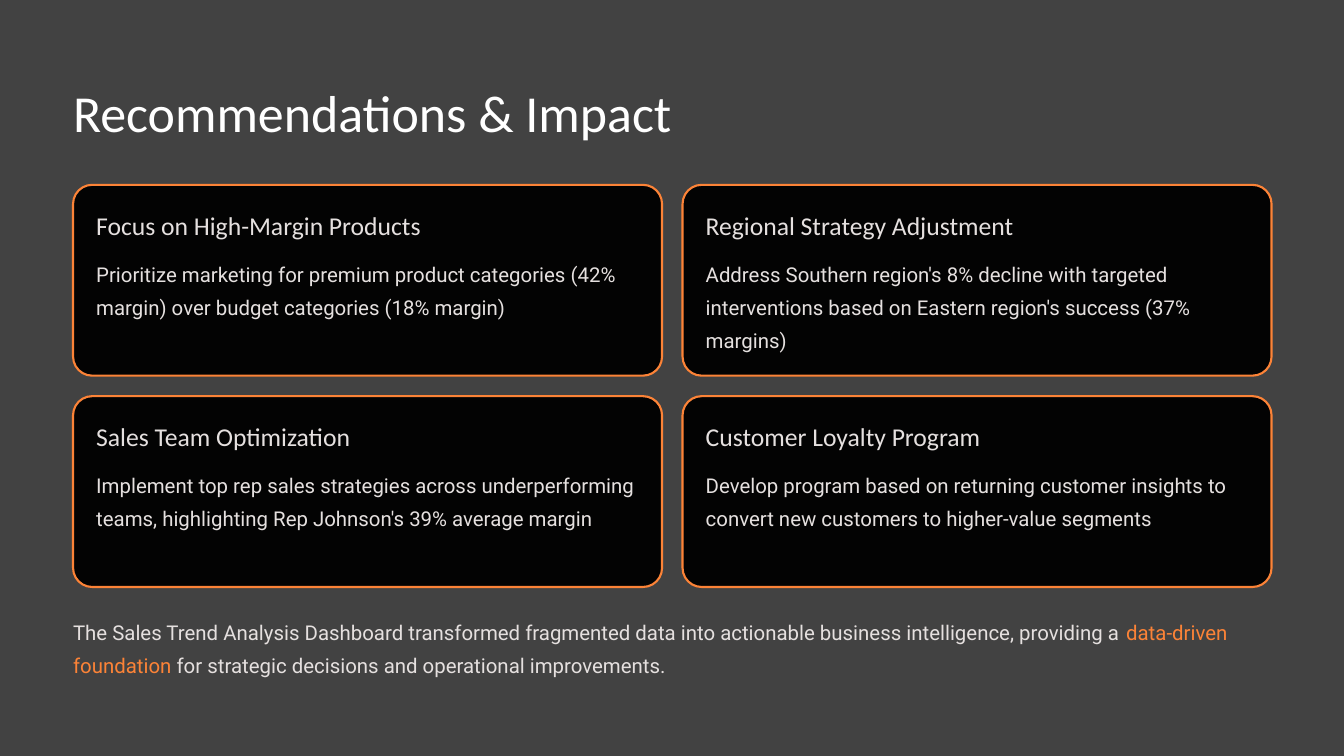
from dataclasses import dataclass

from pptx import Presentation
from pptx.dml.color import RGBColor
from pptx.enum.shapes import MSO_SHAPE
from pptx.enum.text import MSO_ANCHOR, MSO_AUTO_SIZE, PP_ALIGN
from pptx.util import Cm, Pt

TITLE = "Recommendations & Impact"
CARDS = [
    ("Focus on High-Margin Products",
     "Prioritize marketing for premium product categories (42% margin) "
     "over budget categories (18% margin)"),
    ("Regional Strategy Adjustment",
     "Address Southern region's 8% decline with targeted interventions "
     "based on Eastern region's success (37% margins)"),
    ("Sales Team Optimization",
     "Implement top rep sales strategies across underperforming teams, "
     "highlighting Rep Johnson's 39% average margin"),
    ("Customer Loyalty Program",
     "Develop program based on returning customer insights to convert "
     "new customers to higher-value segments"),
]
SUMMARY = [
    ("The Sales Trend Analysis Dashboard transformed fragmented data into "
     "actionable business intelligence, providing a ", "text"),
    ("data-driven foundation", "accent"),
    (" for strategic decisions and operational improvements.", "text"),
]


@dataclass(frozen=True)
class Theme:
    back: str = "424242"
    card: str = "030303"
    accent: str = "FC8337"
    title: str = "FFFFFF"
    text: str = "E5E0DF"
    title_type: tuple = ("Calibri", 44.5, 55.5)
    head_type: tuple = ("Calibri", 22, 27.5)
    body_type: tuple = ("Roboto", 17.5, 28.5)


THEME = Theme()
LEFT, TOP = 2.21, 5.59
CARD_W, CARD_H, GAP, PAD = 17.81, 5.77, 0.62, 0.7
FULL_W = 2 * CARD_W + GAP


def rgb(name):
    return RGBColor.from_string(getattr(THEME, name))


def place(shape, left, top, width, height):
    shape.left, shape.top = Cm(left), Cm(top)
    shape.width, shape.height = Cm(width), Cm(height)


def write(shape, runs, kind):
    name, size, leading = kind
    tf = shape.text_frame
    frame = dict(word_wrap=True, auto_size=MSO_AUTO_SIZE.NONE,
                 vertical_anchor=MSO_ANCHOR.TOP, margin_left=0,
                 margin_top=0, margin_right=0, margin_bottom=0)
    for key, value in frame.items():
        setattr(tf, key, value)
    p = tf.paragraphs[0]
    p.alignment, p.line_spacing = PP_ALIGN.LEFT, Pt(leading)
    for text, color in runs:
        r = p.add_run()
        r.text = text
        for key, value in dict(name=name, size=Pt(size)).items():
            setattr(r.font, key, value)
        r.font.color.rgb = rgb(color)


def add_text(s, box, runs, kind):
    write(s.shapes.add_textbox(*map(Cm, box)), runs, kind)


def add_card(s, left, top, head, body):
    sp = s.shapes.add_shape(MSO_SHAPE.ROUNDED_RECTANGLE,
                            *map(Cm, (left, top, CARD_W, CARD_H)))
    sp.adjustments[0] = 0.1
    sp.shadow.inherit = False
    sp.fill.solid()
    sp.fill.fore_color.rgb = rgb("card")
    sp.line.color.rgb = rgb("accent")
    sp.line.width = Pt(1.8)
    x, width = left + PAD, CARD_W - 2 * PAD
    add_text(s, (x, top + 0.71, width, 1), [(head, "text")], THEME.head_type)
    add_text(s, (x, top + 2.06, width, 3), [(body, "text")], THEME.body_type)


def main():
    """Build the recommendations slide."""
    prs = Presentation()
    prs.slide_width, prs.slide_height = Cm(40.64), Cm(22.86)
    s = prs.slides.add_slide(prs.slide_layouts[5])
    s.background.fill.solid()
    s.background.fill.fore_color.rgb = rgb("back")
    place(s.shapes.title, LEFT, 2.36, 20.5, 1.98)
    write(s.shapes.title, [(TITLE, "title")], THEME.title_type)
    for i, (head, body) in enumerate(CARDS):
        row, col = divmod(i, 2)
        add_card(s, LEFT + col * (CARD_W + GAP), TOP + row * (CARD_H + GAP),
                 head, body)
    add_text(s, (LEFT, 18.49, FULL_W, 2), SUMMARY, THEME.body_type)
    prs.save("out.pptx")


if __name__ == "__main__":
    main()
